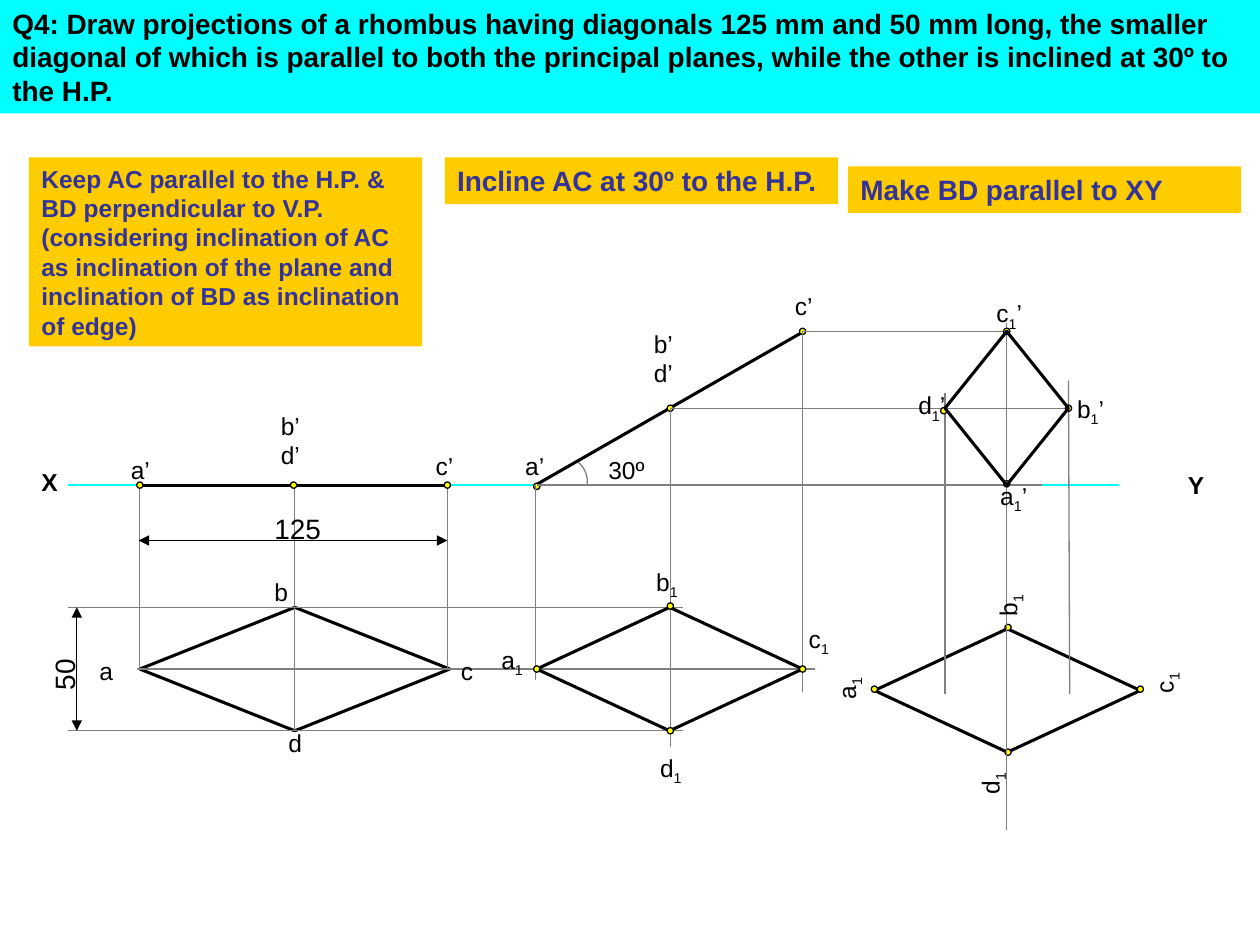
from dataclasses import dataclass

from lxml.etree import SubElement
from pptx import Presentation
from pptx.dml.color import RGBColor as Rgb
from pptx.enum.shapes import MSO_CONNECTOR as Connector, MSO_SHAPE as Preset
from pptx.enum.text import MSO_ANCHOR as Anchor, MSO_AUTO_SIZE as AutoSize, PP_ALIGN as Align
from pptx.oxml.ns import qn
from pptx.util import Inches, Pt


@dataclass(frozen=True)
class Theme:
    font: str = "Arial"
    ink: str = "000000"
    axis: str = "00FFFF"
    guide: str = "808080"
    dot: str = "FFFF00"
    note: str = "FFCC00"
    note_text: str = "333399"
    large: int = 16
    small: int = 14
    thin: float = 0.75
    medium: float = 1
    thick: float = 1.75


THEME = Theme()


@dataclass(frozen=True)
class Banner:
    left: float
    top: float
    width: float
    height: float
    text: str
    size: int = THEME.large
    fill: str = THEME.note
    color: str = THEME.note_text


@dataclass(frozen=True)
class Label:
    left: float
    top: float
    text: str
    width: float = 0.41
    height: float = 0.33
    size: int = THEME.small
    bold: bool = False
    rotation: int = 0


@dataclass(frozen=True)
class Segment:
    x1: float
    y1: float
    x2: float
    y2: float
    color: str = THEME.guide
    weight: float = THEME.thin
    arrows: bool = False


@dataclass(frozen=True)
class Rhombus:
    left: float
    top: float
    width: float
    height: float


XY, MID, HIGH = 3.85, 3.24, 2.63
TOP, CENTRE, BOTTOM = 4.82, 5.31, 5.8
DOT = 0.05

BANNERS = [
    Banner(0, 0, 10, 0.9,
           "Q4: Draw projections of a rhombus having diagonals 125 mm and 50 mm long, "
           "the smaller diagonal of which is parallel to both the principal planes, "
           "while the other is inclined at 30º to the H.P.",
           fill=THEME.axis, color=THEME.ink),
    Banner(0.23, 1.25, 3.12, 1.5,
           "Keep AC parallel to the H.P. & BD perpendicular to V.P. (considering "
           "inclination of AC as inclination of the plane and inclination of BD as "
           "inclination of edge)", THEME.small),
    Banner(3.53, 1.25, 3.12, 0.37, "Incline AC at 30º to the H.P."),
    Banner(6.73, 1.32, 3.12, 0.37, "Make BD parallel to XY"),
]

FIRST_PLAN = Rhombus(1.11, TOP, 2.46, 0.98)
SECOND_PLAN = Rhombus(4.26, TOP, 2.11, 0.98)
THIRD_PLAN = Rhombus(6.94, 4.99, 2.11, 0.98)
THIRD_FRONT = Rhombus(7.5, HIGH, 0.98, 1.22)

AXIS = Segment(0.54, XY, 8.88, XY, THEME.axis, THEME.medium)
GUIDES = [
    Segment(1.11, CENTRE, 1.11, XY), Segment(3.55, CENTRE, 3.55, XY),
    Segment(2.34, BOTTOM, 2.34, XY), Segment(1.09, CENTRE, 6.47, CENTRE),
    Segment(0.54, TOP, 5.42, TOP), Segment(0.54, BOTTOM, 5.42, BOTTOM),
    Segment(4.25, XY, 4.25, 5.4), Segment(5.32, MID, 5.32, 5.93),
    Segment(6.37, HIGH, 6.37, 5.49), Segment(7.5, 3.12, 7.5, 5.51),
    Segment(7.99, 2.56, 7.99, 6.59), Segment(8.48, 3.02, 8.49, 5.51),
    Segment(6.37, HIGH, 8.02, HIGH), Segment(5.32, MID, 8.51, MID),
    Segment(4.26, XY, 8.27, XY),
]
DIMENSIONS = [
    Segment(1.1, 4.29, 3.55, 4.29, THEME.ink, arrows=True),
    Segment(0.61, TOP, 0.61, BOTTOM, THEME.ink, arrows=True),
]
LEVEL_EDGE = Segment(1.1, XY, 3.56, XY, THEME.ink, THEME.thick)
INCLINED_EDGE = Segment(4.25, XY, 6.38, HIGH, THEME.ink, THEME.thick)
ANGLE_ARC = [(4.66, 3.85), (4.67, 3.78), (4.64, 3.71), (4.59, 3.67)]

DOTS_BELOW_GUIDES = [(4.26, 3.86), (5.32, 3.24), (6.37, 2.63),
                     (6.94, 5.47), (8, 4.98), (9.05, 5.47), (8, 5.97)]
DOTS_ABOVE_GUIDES = [(1.11, 3.85), (2.33, 3.85), (3.55, 3.85),
                     (4.26, 5.31), (5.32, 4.81), (6.37, 5.31), (5.32, 5.8),
                     (7.99, 3.84), (8.48, 3.24), (7.99, 2.63), (7.49, 3.26)]

LABELS = [
    Label(0.23, 3.66, "X", 0.46, bold=True), Label(9.33, 3.68, "Y", 0.3, bold=True),
    Label(0.69, 5.16, "a"), Label(2.08, 4.53, "b"),
    Label(3.56, 5.16, "c"), Label(2.19, 5.73, "d", 0.32),
    Label(0.94, 3.56, "a’", 0.42), Label(2.13, 3.21, "b’d’", 0.42, 0.57),
    Label(3.36, 3.53, "c’", 0.42), Label(4.07, 3.53, "a’", 0.42),
    Label(5.09, 2.56, "b’d’", 0.42, 0.57), Label(6.21, 2.26, "c’", 0.42),
    Label(4.73, 3.56, "30º", 0.55),
    Label(3.88, 5.07, "a_1"), Label(5.11, 4.45, "b_1"),
    Label(6.32, 4.9, "c_1"), Label(5.14, 5.93, "d_1"),
    Label(6.51, 5.28, "a_1", rotation=270), Label(7.79, 4.62, "b_1", rotation=270),
    Label(9.03, 5.23, "c_1", rotation=270), Label(7.65, 6.03, "d_1", rotation=270),
    Label(7.84, 3.77, "a_1’", 0.46), Label(8.45, 3.08, "b_1’", 0.46),
    Label(7.81, 2.32, "c_1’", 0.46), Label(7.19, 3.05, "d_1’", 0.46),
    Label(2.08, 4.01, "125", 0.64, 0.37, THEME.large),
    Label(0.19, 5.07, "50", 0.64, 0.37, THEME.large, rotation=270),
]


def write_text(box, text: str, size: int, color: str, bold: bool) -> None:
    frame = box.text_frame
    frame_format = {"word_wrap": True, "auto_size": AutoSize.SHAPE_TO_FIT_TEXT,
                    "vertical_anchor": Anchor.TOP}
    for name, value in frame_format.items():
        setattr(frame, name, value)
    para = frame.paragraphs[0]
    para.alignment = Align.LEFT
    stem, _, rest = text.partition("_")
    font_format = {"name": THEME.font, "size": Pt(size), "bold": bold}
    for part, baseline in ((stem, 0), (rest[:1], -25000), (rest[1:], 0)):
        if not part:
            continue
        span = para.add_run()
        span.text = part
        for name, value in font_format.items():
            setattr(span.font, name, value)
        span.font.color.rgb = Rgb.from_string(color)
        if baseline:
            span._r.get_or_add_rPr().set("baseline", str(baseline))


def draw_banner(page, banner: Banner) -> None:
    box = page.shapes.add_shape(Preset.RECTANGLE, Inches(banner.left), Inches(banner.top),
                                Inches(banner.width), Inches(banner.height))
    box.shadow.inherit = False
    box.fill.solid()
    box.fill.fore_color.rgb = Rgb.from_string(banner.fill)
    box.line.fill.background()
    write_text(box, banner.text, banner.size, banner.color, True)


def draw_label(page, label: Label) -> None:
    box = page.shapes.add_textbox(Inches(label.left), Inches(label.top),
                                  Inches(label.width), Inches(label.height))
    box.rotation = label.rotation
    write_text(box, label.text, label.size, THEME.ink, label.bold)


def set_line(line, color: str, weight: float) -> None:
    line.color.rgb = Rgb.from_string(color)
    line.width = Pt(weight)


def draw_segment(page, segment: Segment) -> None:
    ends = (segment.x1, segment.y1, segment.x2, segment.y2)
    connector = page.shapes.add_connector(Connector.STRAIGHT, *map(Inches, ends))
    set_line(connector.line, segment.color, segment.weight)
    if segment.arrows:
        for end in ("a:headEnd", "a:tailEnd"):
            SubElement(connector.line._get_or_add_ln(), qn(end), type="triangle")
    SubElement(connector._element.spPr, qn("a:effectLst"))


def draw_rhombus(page, rhombus: Rhombus) -> None:
    shape = page.shapes.add_shape(Preset.DIAMOND, Inches(rhombus.left), Inches(rhombus.top),
                                  Inches(rhombus.width), Inches(rhombus.height))
    shape.shadow.inherit = False
    shape.fill.background()
    set_line(shape.line, THEME.ink, THEME.thick)


def draw_dot(page, centre: tuple[float, float]) -> None:
    left, top = (Inches(value - DOT / 2) for value in centre)
    dot = page.shapes.add_shape(Preset.OVAL, left, top, Inches(DOT), Inches(DOT))
    dot.shadow.inherit = False
    dot.fill.solid()
    dot.fill.fore_color.rgb = Rgb.from_string(THEME.dot)
    set_line(dot.line, THEME.ink, THEME.thin)


def draw_curve(page, controls: list[tuple[float, float]], steps: int = 12) -> None:
    points = []
    for step in range(steps + 1):
        t = step / steps
        weights = ((1 - t) ** 3, 3 * t * (1 - t) ** 2, 3 * t * t * (1 - t), t ** 3)
        points.append(tuple(Inches(sum(w * p[axis] for w, p in zip(weights, controls)))
                            for axis in (0, 1)))
    builder = page.shapes.build_freeform(*points[0])
    builder.add_line_segments(points[1:], close=False)
    curve = builder.convert_to_shape()
    curve.shadow.inherit = False
    curve.fill.background()
    set_line(curve.line, THEME.guide, THEME.thin)


def main() -> None:
    deck = Presentation()
    deck.slide_width, deck.slide_height = Inches(10), Inches(7.5)
    page = deck.slides.add_slide(deck.slide_layouts[6])
    layers = [
        (draw_banner, BANNERS),
        (draw_segment, [AXIS, INCLINED_EDGE]),
        (draw_rhombus, [FIRST_PLAN, THIRD_PLAN]),
        (draw_dot, DOTS_BELOW_GUIDES),
        (draw_segment, [*GUIDES, *DIMENSIONS, LEVEL_EDGE]),
        (draw_curve, [ANGLE_ARC]),
        (draw_rhombus, [SECOND_PLAN]),
        (draw_dot, DOTS_ABOVE_GUIDES),
        (draw_rhombus, [THIRD_FRONT]),
        (draw_label, LABELS),
    ]
    for draw, items in layers:
        for item in items:
            draw(page, item)
    deck.save("out.pptx")


if __name__ == "__main__":
    main()
